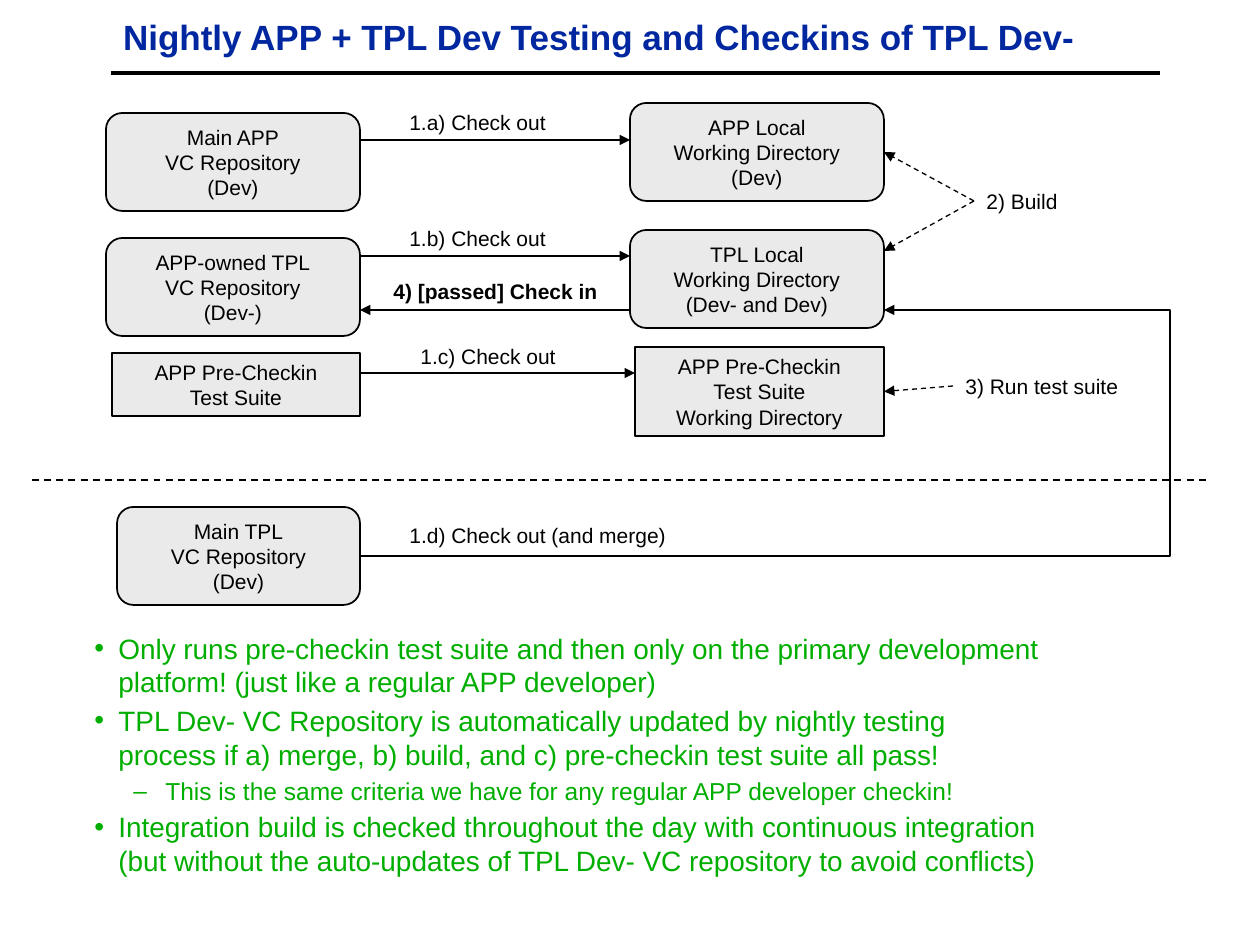
from lxml.etree import SubElement
from pptx import Presentation
from pptx.dml.color import RGBColor
from pptx.enum.dml import MSO_LINE_DASH_STYLE as Dash
from pptx.enum.shapes import MSO_CONNECTOR as Connector, MSO_SHAPE as Shape
from pptx.enum.text import MSO_ANCHOR as Anchor, MSO_AUTO_SIZE as AutoSize, PP_ALIGN as Align
from pptx.oxml.ns import qn
from pptx.util import Pt

SCALE = 914400 / 126
FONT = "Arial"
BLACK = RGBColor(0x00, 0x00, 0x00)
NAVY = RGBColor(0x00, 0x27, 0x9F)
GREEN = RGBColor(0x00, 0xAE, 0x00)
GRAY = RGBColor(0xEA, 0xEA, 0xEA)
LEFT_SIDE, RIGHT_SIDE = 1, 3

BOXES = {
    "app_repo": (Shape.ROUNDED_RECTANGLE, 106, 113, 254, 98, "Main APP\nVC Repository\n(Dev)"),
    "dev_repo": (Shape.ROUNDED_RECTANGLE, 106, 238, 254, 98, "APP-owned TPL\nVC Repository\n(Dev-)"),
    "suite": (Shape.RECTANGLE, 112, 353, 248, 63, "APP Pre-Checkin\nTest Suite"),
    "tpl_repo": (Shape.ROUNDED_RECTANGLE, 117, 507, 243, 98, "Main TPL\nVC Repository\n(Dev)"),
    "app_local": (Shape.ROUNDED_RECTANGLE, 630, 103, 254, 98, "APP Local\nWorking Directory\n(Dev)"),
    "tpl_local": (Shape.ROUNDED_RECTANGLE, 630, 230, 254, 98,
                  "TPL Local\nWorking Directory\n(Dev- and Dev)"),
    "suite_local": (Shape.RECTANGLE, 635, 347, 249, 89,
                    "APP Pre-Checkin\nTest Suite\nWorking Directory"),
}
LABELS = {
    "check_out_a": (397, 103, 165, "1.a) Check out"),
    "check_out_b": (397, 219, 165, "1.b) Check out"),
    "check_in": (381, 272, 243, "4) [passed] Check in"),
    "check_out_c": (408, 337, 165, "1.c) Check out"),
    "check_out_d": (397, 516, 286, "1.d) Check out (and merge)"),
    "build": (974, 182, 137, "2) Build"),
    "run": (953, 367, 181, "3) Run test suite"),
}
TRANSFERS = [(360, 140, 630), (360, 256, 630), (630, 310, 360), (360, 373, 635)]
BULLETS = [
    (0, "Only runs pre-checkin test suite and then only on the primary development platform! "
        "(just like a regular APP developer)"),
    (0, "TPL Dev- VC Repository is automatically updated by nightly testing process "
        "if a) merge, b) build, and c) pre-checkin test suite all pass!"),
    (1, "This is the same criteria we have for any regular APP developer checkin!"),
    (0, "Integration build is checked throughout the day with continuous integration "
        "(but without the auto-updates of TPL Dev- VC repository to avoid conflicts)"),
]
# One entry per level: bullet, text indent, hanging indent, size, space after
LEVELS = [("•", 48, 24, 16, 3), ("–", 95, 32, 14, 2.6)]


def px(length):
    return round(length * SCALE)


def place(shape, left, top, width, height):
    shape.left, shape.top = px(left), px(top)
    shape.width, shape.height = px(width), px(height)


def style(paragraph, size, color=BLACK, bold=False):
    for span in paragraph.runs:
        span.font.name = FONT
        span.font.size = Pt(size)
        span.font.bold = bold
        span.font.color.rgb = color


def add_title(page, text):
    title = page.shapes.title
    place(title, 95, 10, 945 + 63, 53)
    frame = title.text_frame
    frame.text = text
    frame.auto_size = AutoSize.NONE
    frame.vertical_anchor = Anchor.MIDDLE
    frame.paragraphs[0].alignment = Align.CENTER
    style(frame.paragraphs[0], 20, NAVY, True)


def add_box(page, kind, left, top, width, height, text):
    box = page.shapes.add_shape(kind, px(left), px(top), px(width), px(height))
    box.shadow.inherit = False
    box.fill.solid()
    box.fill.fore_color.rgb = GRAY
    box.line.color.rgb = BLACK
    box.line.width = Pt(1)
    frame = box.text_frame
    frame.text = text
    frame.vertical_anchor = Anchor.MIDDLE
    for para in frame.paragraphs:
        para.alignment = Align.CENTER
        style(para, 12)
    return box


def add_label(page, left, top, width, text, bold=False):
    label = page.shapes.add_textbox(px(left), px(top), px(width), px(38))
    label.text_frame.word_wrap = True
    label.text_frame.text = text
    style(label.text_frame.paragraphs[0], 12, bold=bold)
    return label


def add_line(page, start, end, width=0.75, dashed=False, arrow=False, kind=Connector.STRAIGHT):
    line = page.shapes.add_connector(kind, *map(px, start + end))
    line.line.color.rgb = BLACK
    line.line.width = Pt(width)
    if dashed:
        line.line.dash_style = Dash.DASH
    if arrow:
        SubElement(line.line._get_or_add_ln(), qn("a:tailEnd"), type="triangle")
    SubElement(line._element.spPr, qn("a:effectLst"))
    return line


def add_merge_route(page, start, end, turn):
    """Elbow arrow that runs out to x = turn and comes back to its end."""
    route = add_line(page, start, end, arrow=True, kind=Connector.ELBOW)
    guides = route._element.spPr.find(qn("a:prstGeom")).get_or_add_avLst()
    share = round((turn - start[0]) / (end[0] - start[0]) * 100000)
    SubElement(guides, qn("a:gd"), name="adj1", fmla=f"val {share}")


def add_bullets(page, left, top, width, height):
    box = page.shapes.add_textbox(px(left), px(top), px(width), px(height))
    frame = box.text_frame
    frame.word_wrap = True
    frame.text = "\n".join(text for _, text in BULLETS)
    for para, (level, _) in zip(frame.paragraphs, BULLETS):
        mark, indent, hanging, size, after = LEVELS[level]
        para.level = level
        para.space_after = Pt(after)
        props = para._p.get_or_add_pPr()
        props.set("marL", str(px(indent)))
        props.set("indent", str(-px(hanging)))
        color = SubElement(props, qn("a:buClr"))
        SubElement(color, qn("a:srgbClr"), val=str(GREEN))
        SubElement(props, qn("a:buFont"), typeface=FONT)
        SubElement(props, qn("a:buChar"), char=mark)
        style(para, size, GREEN)


def main():
    deck = Presentation()
    deck.slide_width, deck.slide_height = px(1260), px(945)
    page = deck.slides.add_slide(deck.slide_layouts[5])

    add_title(page, "Nightly APP + TPL Dev Testing and Checkins of TPL Dev-")
    add_line(page, (111, 73), (1160, 73), width=2)
    add_line(page, (32, 480), (1207, 480), width=1, dashed=True)

    boxes = {name: add_box(page, *box) for name, box in BOXES.items()}
    labels = {name: add_label(page, *label, bold=name == "check_in")
              for name, label in LABELS.items()}

    for start, y, end in TRANSFERS:
        add_line(page, (start, y), (end, y), arrow=True)
    add_merge_route(page, (360, 556), (884, 310), turn=1170)

    for label, box, end in [("build", "app_local", (884, 152)),
                            ("build", "tpl_local", (884, 251)),
                            ("run", "suite_local", (884, 392))]:
        start = {"build": (974, 201), "run": (953, 386)}[label]
        line = add_line(page, start, end, dashed=True, arrow=True)
        line.begin_connect(labels[label], LEFT_SIDE)
        if box != "tpl_local":
            line.end_connect(boxes[box], RIGHT_SIDE)

    add_bullets(page, 58, 625, 1006, 258)
    deck.save("out.pptx")


if __name__ == "__main__":
    main()
